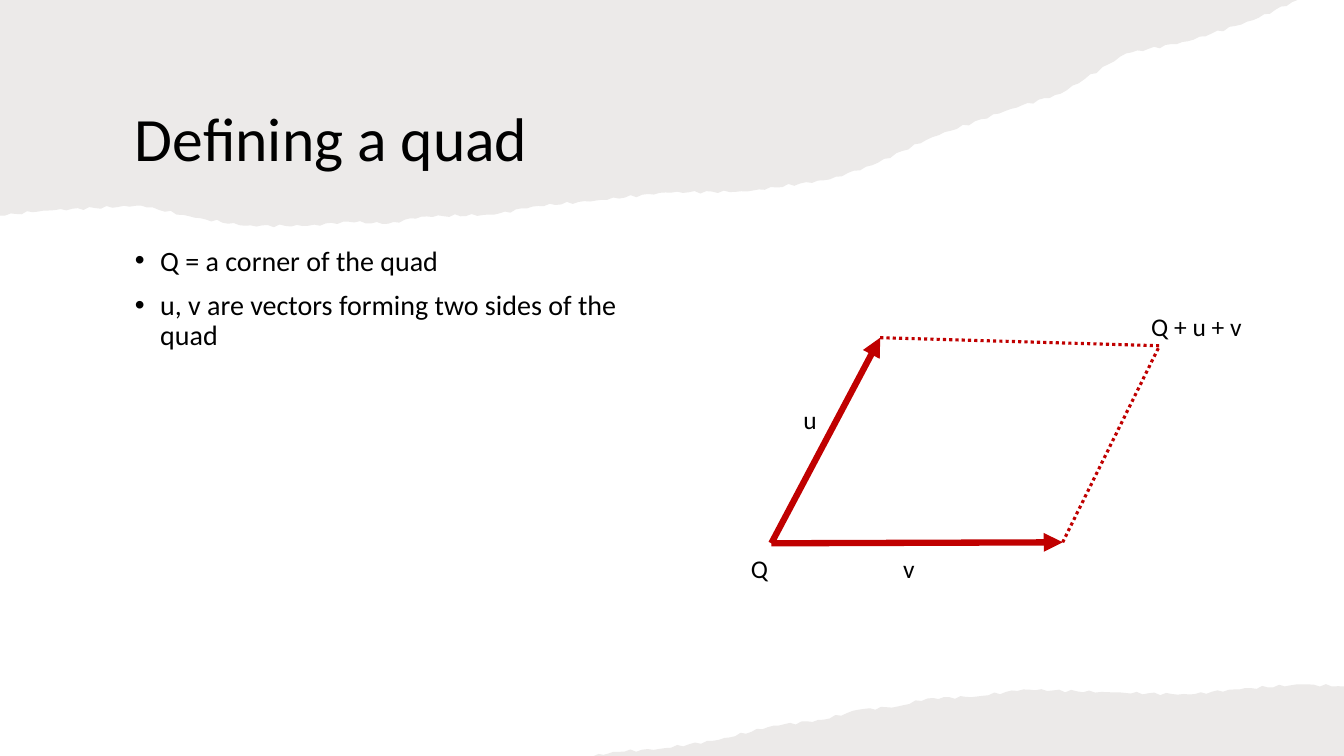
import math
from itertools import pairwise

from lxml import etree
from pptx import Presentation
from pptx import util as u
from pptx.dml.color import RGBColor
from pptx.enum import dml, shapes, text
from pptx.oxml import ns

BLACK = RGBColor(0x00, 0x00, 0x00)
RED = RGBColor(0xC0, 0x00, 0x00)
PAPER = RGBColor(0xEC, 0xEA, 0xE9)

WIDTH, HEIGHT = 13.33, 7.5
LEFT_MARGIN = 1.24
TEAR_STEP, TEAR_DEPTH = 0.06, 0.015

TOP_TEAR = [
    (0, 2.14), (0.43, 2.09), (1.4, 2.04), (1.93, 2.16), (2.43, 2.24), (3.06, 2.24),
    (3.46, 2.2), (3.85, 2.22), (4.18, 2.15), (4.9, 2.13), (5.28, 2.05), (5.91, 1.99),
    (6.6, 1.91), (7.41, 1.9), (8.23, 1.78), (8.65, 1.64), (9.25, 1.36), (10.03, 1.08),
    (10.52, 0.93), (11.17, 0.53), (11.78, 0.41), (12.43, 0.2), (12.87, 0),
]
BOTTOM_TEAR = [
    (5.89, 7.5), (6.08, 7.46), (6.54, 7.43), (7.13, 7.34), (7.67, 7.2), (8.17, 7.14),
    (8.52, 7.04), (8.9, 7.01), (9.2, 6.93), (9.69, 6.91), (10.15, 6.84), (11.04, 6.87),
    (11.8, 6.89), (12.24, 6.84), (12.91, 6.79), (13.33, 6.81),
]

CORNERS = {"Q": (7.65, 5.39), "Q+u": (8.73, 3.35), "Q+v": (10.54, 5.38), "Q+u+v": (11.5, 3.43)}
VECTOR = {"width": u.Pt(4.5)}
DOTTED = {"width": u.Pt(2.25), "dash_style": dml.MSO_LINE.ROUND_DOT}
SIDES = [
    ("Q", "Q+u", VECTOR),
    ("Q", "Q+v", VECTOR),
    ("Q+v", "Q+u+v", DOTTED),
    ("Q+u", "Q+u+v", DOTTED),
]
LABELS = [
    ("Q", 7.35, 5.44, 0.52),
    ("u", 7.87, 3.96, 0.42),
    ("v", 8.86, 5.44, 0.45),
    ("Q + u + v", 11.32, 3.04, 1.26),
]
LABEL_HEIGHT = 0.41


def assign(target, values):
    for name, value in values.items():
        setattr(target, name, value)


def ragged(tear):
    points = []
    for (x1, y1), (x2, y2) in pairwise(tear):
        steps = math.ceil((x2 - x1) / TEAR_STEP)
        for step in range(steps):
            share = step / steps
            x = x1 + share * (x2 - x1)
            ripple = TEAR_DEPTH * math.sin(math.pi * share) * math.sin(40 * x)
            points.append((x, y1 + share * (y2 - y1) + ripple))
    return points + [tear[-1]]


class QuadSlide:
    font = "Calibri"
    ink = BLACK
    line_color = RED
    paper_color = PAPER

    def __init__(self, deck):
        self.page = deck.slides.add_slide(deck.slide_layouts[6])

    def paper(self, tear, page_corner):
        outline = [(u.Inches(x), u.Inches(y)) for x, y in [page_corner] + ragged(tear)]
        builder = self.page.shapes.build_freeform(*outline[0])
        builder.add_line_segments(outline[1:], close=True)
        sheet = builder.convert_to_shape()
        sheet.shadow.inherit = False
        sheet.fill.solid()
        sheet.fill.fore_color.rgb = self.paper_color
        sheet.line.fill.background()

    def words(self, lines, place, size, spacing, anchor=text.MSO_ANCHOR.TOP, bullet=False):
        box = self.page.shapes.add_textbox(*map(u.Inches, place))
        frame = box.text_frame
        assign(frame, {"word_wrap": True, "vertical_anchor": anchor})
        for index, line in enumerate(lines):
            para = frame.add_paragraph() if index else frame.paragraphs[0]
            assign(para, spacing)
            span = para.add_run()
            span.text = line
            assign(span.font, {"name": self.font, "size": u.Pt(size)})
            span.font.color.rgb = self.ink
            if bullet:
                self.bullet(para)

    def bullet(self, para):
        props = para._p.get_or_add_pPr()
        indent = u.Inches(0.25)
        props.set("marL", str(indent))
        props.set("indent", str(-indent))
        etree.SubElement(props, ns.qn("a:buFont")).set("typeface", "Arial")
        etree.SubElement(props, ns.qn("a:buChar")).set("char", "•")

    def side(self, start, end, style):
        edge = self.page.shapes.add_connector(
            shapes.MSO_CONNECTOR.STRAIGHT, *map(u.Inches, CORNERS[start] + CORNERS[end]))
        edge.line.color.rgb = self.line_color
        assign(edge.line, style)
        if style is VECTOR:
            outline = edge.line._get_or_add_ln()
            etree.SubElement(outline, ns.qn("a:tailEnd")).set("type", "triangle")
        etree.SubElement(edge._element.spPr, ns.qn("a:effectLst"))


def main():
    deck = Presentation()
    assign(deck, {"slide_width": u.Inches(WIDTH), "slide_height": u.Inches(HEIGHT)})
    slide = QuadSlide(deck)
    slide.paper(TOP_TEAR, page_corner=(0, 0))
    slide.paper(BOTTOM_TEAR, page_corner=(WIDTH, HEIGHT))
    slide.words(["Defining a quad"], (LEFT_MARGIN, 0.67, 10.27, 1.46), 44,
                {"line_spacing": 0.9}, anchor=text.MSO_ANCHOR.MIDDLE)
    slide.words(["Q = a corner of the quad", "u, v are vectors forming two sides of the quad"],
                (LEFT_MARGIN, 2.4, 5.42, 4.28), 20,
                {"line_spacing": 0.9, "space_before": u.Pt(10)}, bullet=True)
    for start, end, style in SIDES:
        slide.side(start, end, style)
    for label, left, top, width in LABELS:
        slide.words([label], (left, top, width, LABEL_HEIGHT), 18.2, {"space_after": u.Pt(6)})
    deck.save("out.pptx")


if __name__ == "__main__":
    main()
